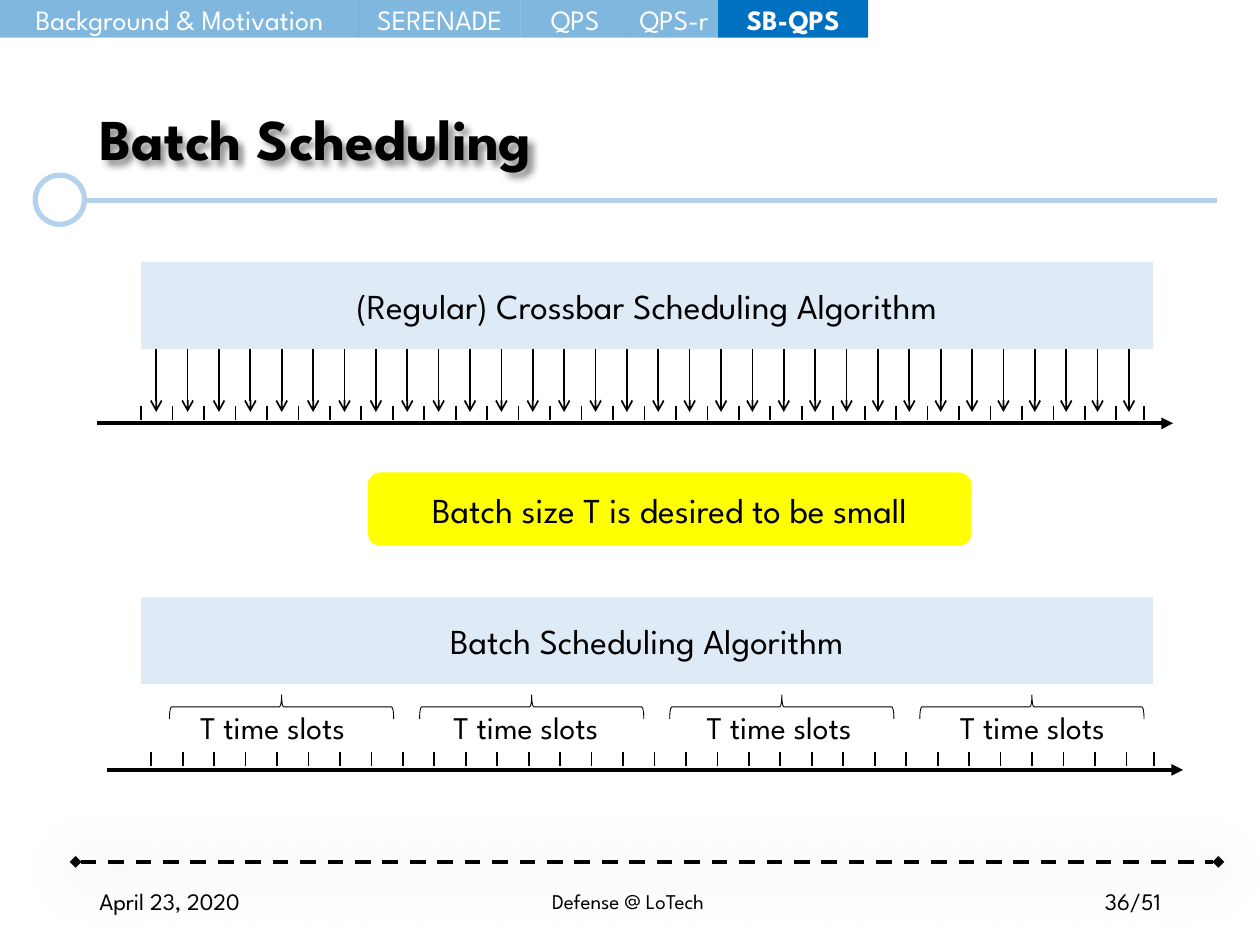
from lxml.etree import SubElement
from pptx import Presentation
from pptx.dml.color import RGBColor
from pptx.enum.dml import MSO_LINE
from pptx.enum.shapes import MSO_CONNECTOR, MSO_SHAPE
from pptx.enum.text import MSO_ANCHOR, MSO_AUTO_SIZE, PP_ALIGN
from pptx.oxml.ns import qn
from pptx.util import Inches, Pt

FONT = "League Spartan"
BLACK, WHITE = "000000", "FFFFFF"
NAV_BLUE, RULE_BLUE, BAR_BLUE, YELLOW = "0070C0", "B5D2EC", "DEEBF7", "FFFF00"
SLOTS = 32


def color(value):
    return RGBColor.from_string(value)


def write(frame, text, size, align=PP_ALIGN.LEFT, text_color=BLACK, bold=False,
          anchor=MSO_ANCHOR.MIDDLE, wrap=True):
    frame.word_wrap = wrap
    frame.vertical_anchor = anchor
    paragraph = frame.paragraphs[0]
    paragraph.text = text
    paragraph.alignment = align
    paragraph.font.name = FONT
    paragraph.font.size = Pt(size)
    paragraph.font.bold = bold
    paragraph.font.color.rgb = color(text_color)
    return paragraph


def add_shadow(effects, blur, distance, angle, opacity):
    shadow = SubElement(effects, qn("a:outerShdw"), blurRad=str(Pt(blur)),
                        dist=str(Pt(distance)), dir=str(angle * 60000),
                        algn="tl", rotWithShape="0")
    shadow_color = SubElement(shadow, qn("a:srgbClr"), val=BLACK)
    SubElement(shadow_color, qn("a:alpha"), val=str(opacity * 1000))


def add_line(slide, x1, y1, x2, y2, width=1, line_color=BLACK, head=None,
             tail=None, dash=None):
    """Draw a line and return its effect list."""
    line = slide.shapes.add_connector(
        MSO_CONNECTOR.STRAIGHT, Inches(x1), Inches(y1), Inches(x2), Inches(y2))
    line.line.width = Pt(width)
    line.line.color.rgb = color(line_color)
    if dash:
        line.line.dash_style = dash
    outline = line.line._get_or_add_ln()
    for tag, kind in (("a:headEnd", head), ("a:tailEnd", tail)):
        if kind:
            SubElement(outline, qn(tag), type=kind)
    return SubElement(line._element.spPr, qn("a:effectLst"))


def add_box(slide, kind, left, top, width, height, fill=None, line_color=None,
            line_width=1):
    shape = slide.shapes.add_shape(
        kind, Inches(left), Inches(top), Inches(width), Inches(height))
    shape.shadow.inherit = False
    if fill:
        shape.fill.solid()
        shape.fill.fore_color.rgb = color(fill)
    else:
        shape.fill.background()
    if line_color:
        shape.line.color.rgb = color(line_color)
        shape.line.width = Pt(line_width)
    else:
        shape.line.fill.background()
    return shape


def add_text(slide, left, top, width, height, text, size, **style):
    box = slide.shapes.add_textbox(
        Inches(left), Inches(top), Inches(width), Inches(height))
    write(box.text_frame, text, size, **style)
    return box


def add_navigation(slide, left, top, height):
    sections = [("Background & Motivation", 2.85), ("SERENADE", 1.28),
                ("QPS", 0.87), ("QPS-r", 0.7), ("SB-QPS", 1.19)]
    for name, width in sections:
        current = name == "SB-QPS"
        tab = add_box(slide, MSO_SHAPE.RECTANGLE, left, top, width, height, NAV_BLUE)
        if not current:
            fill_color = tab._element.spPr.find(qn("a:solidFill"))[0]
            SubElement(fill_color, qn("a:alpha"), val="50000")
        tab.text_frame.margin_left = tab.text_frame.margin_right = 0
        write(tab.text_frame, name, 16, PP_ALIGN.CENTER, WHITE, current)
        left += width


def add_heading(slide, left, top, width, height):
    title = slide.shapes.title
    title.left, title.top = Inches(left), Inches(top)
    title.width, title.height = Inches(width), Inches(height)
    paragraph = write(title.text_frame, "Batch Scheduling", 33, bold=True)
    paragraph.line_spacing = 0.9
    title.text_frame.auto_size = MSO_AUTO_SIZE.NONE
    effects = SubElement(title._element.spPr, qn("a:effectLst"))
    add_shadow(effects, 4, 3, 45, 43)
    rule = top + 1.19
    add_line(slide, left, rule, left + 8.97, rule, 3, RULE_BLUE)
    add_box(slide, MSO_SHAPE.OVAL, left - 0.41, rule - 0.2, 0.39, 0.39,
            WHITE, RULE_BLUE, 3)


def add_footer(slide, left, top, width, height):
    effects = add_line(slide, left - 0.09, top - 0.11, left + 8.98, top - 0.11, 2.25,
                       head="diamond", tail="diamond", dash=MSO_LINE.DASH)
    add_shadow(effects, 36, 4, 90, 43)
    add_text(slide, left, top, 2.25, height, "April 23, 2020", 13.5)
    add_text(slide, left + 1.72, top, 5.15, height, "Defense @ LoTech", 12,
             align=PP_ALIGN.CENTER)
    add_text(slide, left + width - 2.25, top, 2.25, height, "36/51", 13.5,
             align=PP_ALIGN.RIGHT)


def add_label_box(slide, kind, left, top, width, height, text, fill):
    box = add_box(slide, kind, left, top, width, height, fill)
    write(box.text_frame, text, 20, PP_ALIGN.CENTER)


def slot_positions(first, span):
    """Give the even positions of all slots, the last one at first + span."""
    return [first + span * slot / (SLOTS - 1) for slot in range(SLOTS)]


def add_time_axis(slide, left, top, width):
    add_line(slide, left, top, left + width, top, 2.25, tail="triangle")
    for x in slot_positions(left + 0.35, 7.74) + [left + 8.31]:
        add_line(slide, x, top - 0.14, x, top - 0.03)


def add_regular_scheduling(slide, left, top, width, height):
    bottom = top + height
    add_time_axis(slide, left - 0.35, bottom + 0.59, 8.54)
    for x in slot_positions(left + 0.12, 7.72):
        add_line(slide, x, bottom, x, bottom + 0.5, tail="arrow")
    add_label_box(slide, MSO_SHAPE.RECTANGLE, left, top, width, height,
                  "(Regular) Crossbar Scheduling Algorithm", BAR_BLUE)


def add_batch_scheduling(slide, left, top, width, height):
    bottom = top + height
    add_time_axis(slide, left - 0.27, bottom + 0.68, 8.54)
    add_label_box(slide, MSO_SHAPE.RECTANGLE, left, top, width, height,
                  "Batch Scheduling Algorithm", BAR_BLUE)
    for batch in range(4):
        brace = add_box(slide, MSO_SHAPE.RIGHT_BRACE, left + 1.02 + 1.985 * batch,
                        bottom - 0.71, 0.19, 1.78, line_color=BLACK, line_width=0.5)
        brace.rotation = 270
        label = add_text(slide, left + 0.37 + 2.01 * batch, bottom + 0.14, 1.49, 0.4,
                         "T time slots", 18, anchor=MSO_ANCHOR.TOP, wrap=False)
        label.text_frame.auto_size = MSO_AUTO_SIZE.SHAPE_TO_FIT_TEXT


def main():
    presentation = Presentation()
    presentation.slide_width, presentation.slide_height = Inches(10), Inches(7.5)
    slide = presentation.slides.add_slide(presentation.slide_layouts[5])
    add_heading(slide, 0.69, 0.4, 8.62, 1.45)
    add_footer(slide, 0.69, 6.95, 8.62, 0.4)
    add_navigation(slide, 0, 0, 0.3)
    add_regular_scheduling(slide, 1.12, 2.08, 8.03, 0.69)
    add_batch_scheduling(slide, 1.12, 4.74, 8.03, 0.69)
    add_label_box(slide, MSO_SHAPE.ROUNDED_RECTANGLE, 2.92, 3.75, 4.79, 0.58,
                  "Batch size T is desired to be small", YELLOW)
    presentation.save("out.pptx")


if __name__ == "__main__":
    main()
